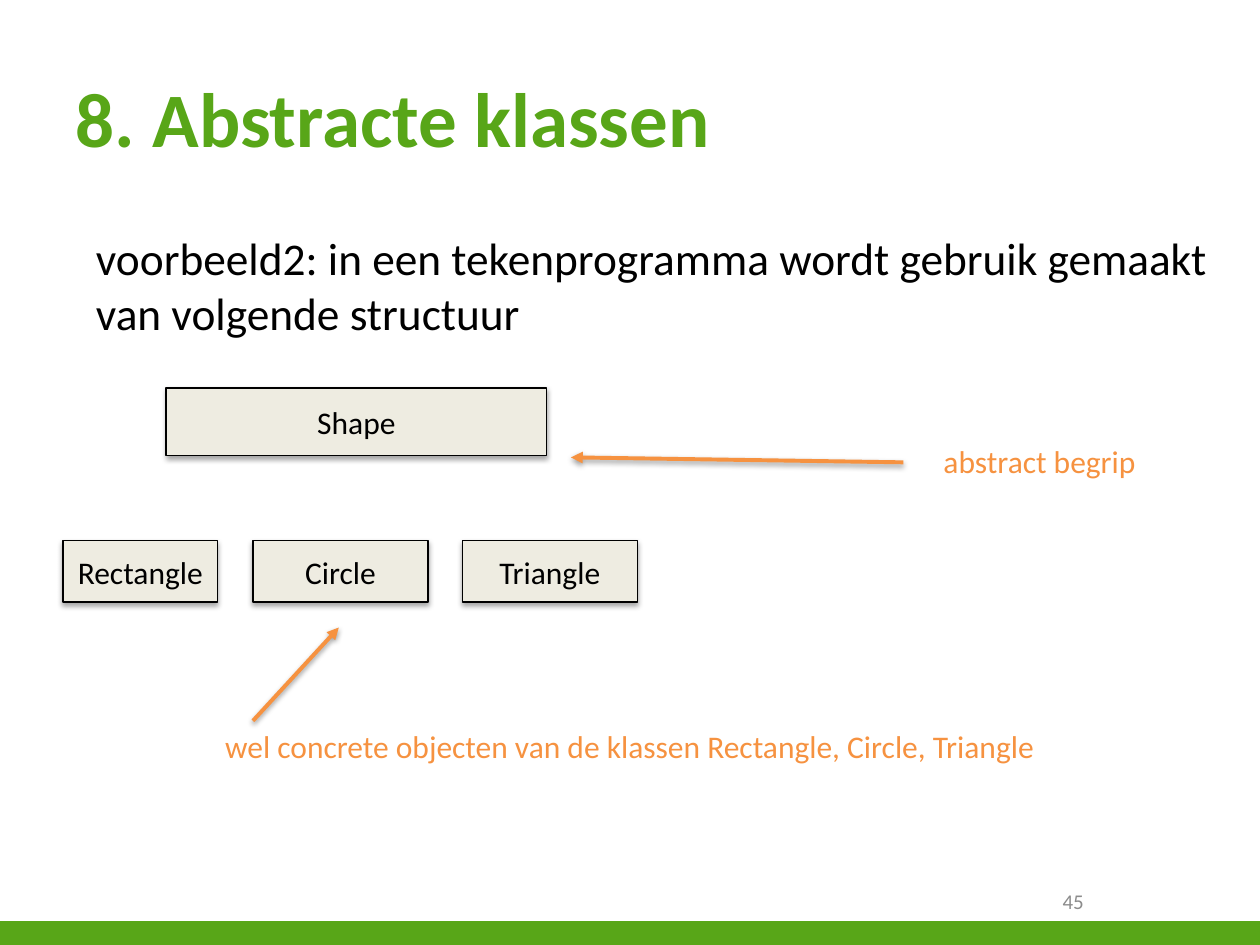
from dataclasses import dataclass
from typing import Any

from lxml import etree
from pptx import Presentation
from pptx import util as u
from pptx.dml.color import RGBColor
from pptx.enum import shapes, text
from pptx.oxml import ns

GREEN, BLACK, GREY = "58A618", "000000", "8C8C8C"
BEIGE, ORANGE = "EEECE1", "F69240"


def color(value):
    return RGBColor.from_string(value)


def add_element(parent, tag, **attributes):
    return etree.SubElement(parent, ns.qn(tag), attributes)


@dataclass
class SlideBuilder:
    slide: Any
    font: str = "Calibri"

    def set_text(self, shape, content, size, hue, align=text.PP_ALIGN.LEFT, bold=False):
        paragraph = shape.text_frame.paragraphs[0]
        paragraph.text = content
        paragraph.alignment = align
        paragraph.font.name = self.font
        paragraph.font.size = u.Pt(size)
        paragraph.font.bold = bold
        paragraph.font.color.rgb = color(hue)
        return paragraph

    def place(self, shape, left, top, width, height):
        shape.left, shape.top = u.Cm(left), u.Cm(top)
        shape.width, shape.height = u.Cm(width), u.Cm(height)

    def title(self, content, *box):
        shape = self.slide.shapes.title
        self.place(shape, *box)
        shape.text_frame.auto_size = text.MSO_AUTO_SIZE.NONE
        shape.text_frame.vertical_anchor = text.MSO_ANCHOR.MIDDLE
        self.set_text(shape, content, 44, GREEN, bold=True)

    def body(self, content, *box):
        shape = self.slide.placeholders[1]
        self.place(shape, *box)
        shape.text_frame.auto_size = text.MSO_AUTO_SIZE.NONE
        properties = shape.text_frame.paragraphs[0]._p.get_or_add_pPr()
        properties.set("marL", "0")
        properties.set("indent", "0")
        add_element(properties, "a:buNone")
        paragraph = self.set_text(shape, content, 25.9, BLACK)
        paragraph.space_before = u.Pt(0)

    def label(self, content, left, top, width, height, size=18, hue=ORANGE,
              align=text.PP_ALIGN.LEFT, anchor=text.MSO_ANCHOR.TOP):
        shape = self.slide.shapes.add_textbox(u.Cm(left), u.Cm(top), u.Cm(width), u.Cm(height))
        shape.text_frame.word_wrap = True
        shape.text_frame.vertical_anchor = anchor
        self.set_text(shape, content, size, hue, align)

    def rectangle(self, fill, left, top, width, height):
        shape = self.slide.shapes.add_shape(
            shapes.MSO_SHAPE.RECTANGLE, u.Cm(left), u.Cm(top), u.Cm(width), u.Cm(height))
        shape.shadow.inherit = False
        shape.fill.solid()
        shape.fill.fore_color.rgb = color(fill)
        shape.line.fill.background()
        return shape

    def class_box(self, name, *box):
        shape = self.rectangle(BEIGE, *box)
        shape.line.color.rgb = color(BLACK)
        shape.line.width = u.Pt(0.75)
        self.shadow(shape._element.spPr.find(ns.qn("a:effectLst")), 1.8, 35)
        shape.text_frame.word_wrap = True
        shape.text_frame.vertical_anchor = text.MSO_ANCHOR.MIDDLE
        self.set_text(shape, name, 18, BLACK, text.PP_ALIGN.CENTER)

    def arrow(self, *points):
        connector = self.slide.shapes.add_connector(
            shapes.MSO_CONNECTOR.STRAIGHT, *(u.Cm(point) for point in points))
        connector.line.color.rgb = color(ORANGE)
        connector.line.width = u.Pt(2.25)
        properties = connector._element.spPr
        add_element(properties.find(ns.qn("a:ln")), "a:tailEnd", type="triangle")
        self.shadow(add_element(properties, "a:effectLst"), 1.6, 38)

    def shadow(self, effects, distance, opacity):
        outer = add_element(effects, "a:outerShdw", blurRad=str(u.Pt(3.1)),
                            dist=str(u.Pt(distance)), dir="5400000", rotWithShape="0")
        hue = add_element(outer, "a:srgbClr", val=BLACK)
        add_element(hue, "a:alpha", val=str(opacity * 1000))


def main():
    presentation = Presentation()
    presentation.slide_width, presentation.slide_height = u.Cm(25.4), u.Cm(19.05)
    builder = SlideBuilder(presentation.slides.add_slide(presentation.slide_layouts[1]))

    builder.rectangle(GREEN, 0, 18.57, 25.4, 0.5)
    builder.title("8. Abstracte klassen", 1.27, 0.76, 22.86, 3.18)
    builder.body("voorbeeld2: in een tekenprogramma wordt gebruik gemaakt van volgende structuur",
                 1.68, 4.52, 23.32, 2.44)
    builder.label("45", 18.21, 17.65, 3.89, 1.02, 12, GREY,
                  text.PP_ALIGN.RIGHT, text.MSO_ANCHOR.MIDDLE)

    builder.class_box("Shape", 3.35, 7.82, 7.67, 1.37)
    for name, left, width in (("Rectangle", 1.27, 3.12), ("Circle", 5.1, 3.53),
                              ("Triangle", 9.32, 3.53)):
        builder.class_box(name, left, 10.9, width, 1.24)

    builder.arrow(18.21, 9.32, 11.51, 9.22)
    builder.label("abstract begrip", 18.77, 8.79, 6.3, 1.02)
    builder.arrow(5.1, 14.53, 6.83, 12.65)
    builder.label("wel concrete objecten van de klassen Rectangle, Circle, Triangle",
                  4.29, 14.53, 18.69, 1.02)
    presentation.save("out.pptx")


if __name__ == "__main__":
    main()
